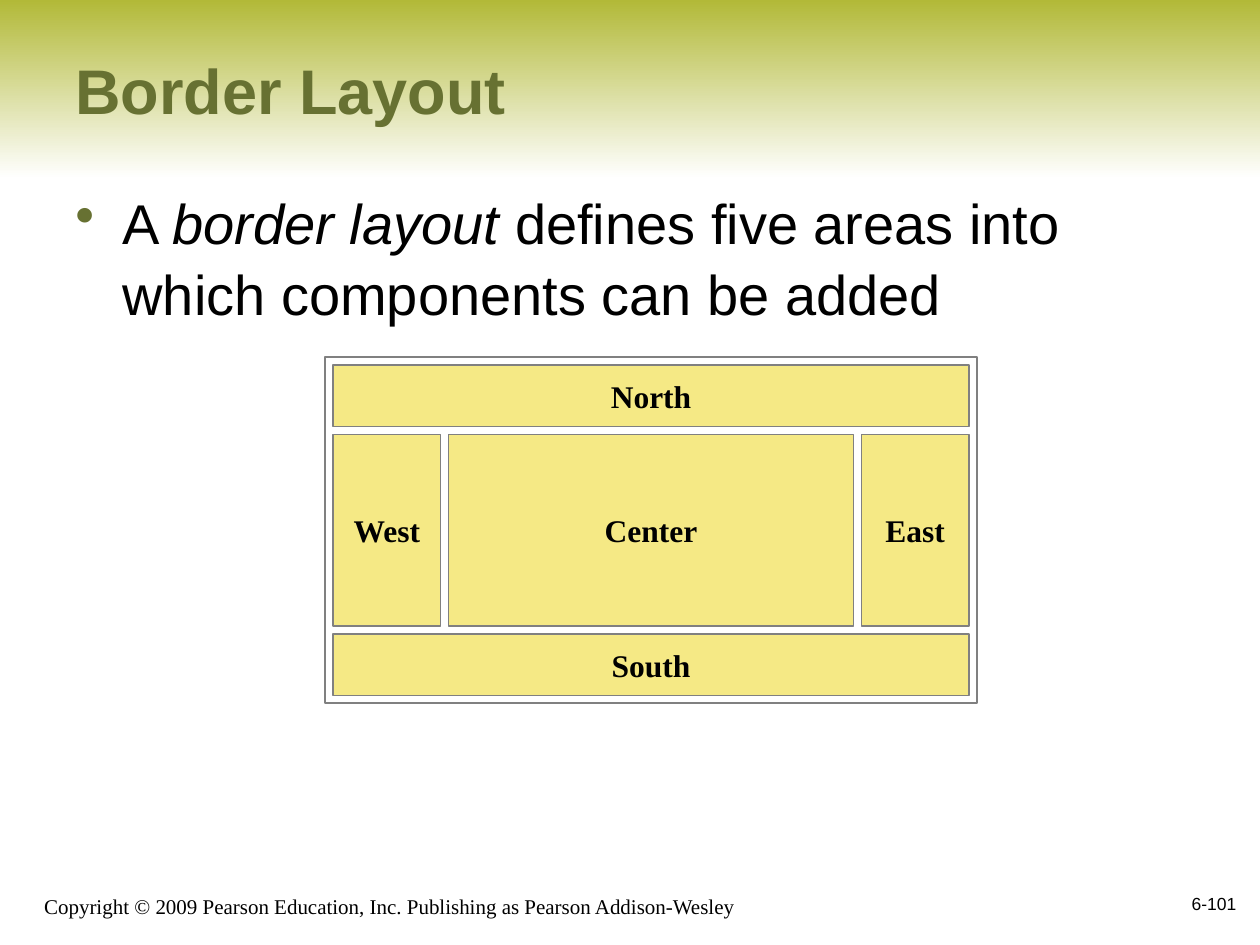
import pptx
import pptx.util
import pptx.dml.color
import pptx.enum.shapes
import pptx.enum.text
import lxml.etree

Cm = pptx.util.Cm
Pt = pptx.util.Pt
ALIGN = pptx.enum.text.PP_ALIGN
ANCHOR = pptx.enum.text.MSO_ANCHOR
OLIVE = "677132"
SERIF = "Times New Roman"


def tint(code):
    return pptx.dml.color.RGBColor.from_string(code)


def style(para, size, face="Arial", color="000000", bold=False, align=ALIGN.LEFT):
    para.alignment = align
    para.font.size = Pt(size)
    para.font.name = face
    para.font.bold = bold
    para.font.color.rgb = tint(color)


def add_rect(slide, box):
    shape = slide.shapes.add_shape(
        pptx.enum.shapes.MSO_SHAPE.RECTANGLE, *map(Cm, box))
    shape.shadow.inherit = False
    return shape


def add_text(slide, box, text, anchor, *args, **kwargs):
    frame = slide.shapes.add_textbox(*map(Cm, box)).text_frame
    frame.word_wrap = True
    frame.vertical_anchor = anchor
    para = frame.paragraphs[0]
    para.text = text
    style(para, *args, **kwargs)


def add_header(slide, box):
    left, top, width, height = box
    band = add_rect(slide, box)
    band.line.fill.background()
    band.fill.gradient()
    band.fill.gradient_angle = 270
    for stop, code in zip(band.fill.gradient_stops, ("B2B938", "FFFFFF")):
        stop.color.rgb = tint(code)
    add_text(slide, (left + 1.27, top + 0.21, width - 2.33, height - 0.43),
             "Border Layout", ANCHOR.MIDDLE, 36, color=OLIVE, bold=True)


def add_body(slide, box):
    frame = slide.shapes.add_textbox(*map(Cm, box)).text_frame
    frame.word_wrap = True
    para = frame.paragraphs[0]
    para.line_spacing = 1.06
    props = para._p.get_or_add_pPr()
    props.set("marL", str(Cm(0.95)))
    props.set("indent", str(Cm(-0.95)))
    space = pptx.oxml.ns.qn
    color = lxml.etree.SubElement(props, space("a:buClr"))
    lxml.etree.SubElement(color, space("a:srgbClr"), val=OLIVE)
    lxml.etree.SubElement(props, space("a:buChar"), char="•")
    for text, slant in (("A ", False), ("border layout", True),
                        (" defines five areas into which components can be added", False)):
        run = para.add_run()
        run.text = text
        run.font.italic = slant
    style(para, 32)


def add_panel(slide, box, fill, label=""):
    panel = add_rect(slide, box)
    panel.fill.solid()
    panel.fill.fore_color.rgb = tint(fill)
    panel.line.color.rgb = tint("808080")
    panel.line.width = Pt(1)
    if label:
        frame = panel.text_frame
        frame.word_wrap = False
        frame.vertical_anchor = ANCHOR.MIDDLE
        para = frame.paragraphs[0]
        para.text = label
        style(para, 18, SERIF, bold=True, align=ALIGN.CENTER)


def add_diagram(slide, box):
    """Frame the five areas, with one gap around and between them."""
    left, top, width, height = box
    gap, bar, side = 0.16, 1.24, 2.16
    inner = width - 2 * gap
    mid = inner - 2 * (side + gap)
    tall = height - 2 * bar - 4 * gap
    row = gap + bar + gap
    areas = {
        "North": (gap, gap, inner, bar),
        "South": (gap, height - gap - bar, inner, bar),
        "Center": (gap + side + gap, row, mid, tall),
        "East": (width - gap - side, row, side, tall),
        "West": (gap, row, side, tall),
    }
    add_panel(slide, box, "FFFFFF")
    for label, (x, y, wide, high) in areas.items():
        add_panel(slide, (left + x, top + y, wide, high), "F5E985", label)


def add_footer(slide, box):
    left, top, width, height = box
    add_text(slide, (left, top, 15.44, 1.07),
             "Copyright © 2009 Pearson Education, Inc. Publishing as Pearson Addison-Wesley",
             ANCHOR.BOTTOM, 12, SERIF)
    add_text(slide, (left + width - 5.28, top, 5.28, height), "6-101",
             ANCHOR.MIDDLE, 10, align=ALIGN.RIGHT)


def main():
    deck = pptx.Presentation()
    deck.slide_width = Cm(25.4)
    deck.slide_height = Cm(19.05)
    slide = deck.slides.add_slide(deck.slide_layouts[6])
    add_header(slide, (0, 0, 25.4, 3.6))
    add_footer(slide, (0.64, 17.57, 24.53, 1.27))
    add_body(slide, (1.27, 3.6, 23.07, 11.43))
    add_diagram(slide, (6.56, 7.2, 13.13, 6.98))
    deck.save("out.pptx")


if __name__ == "__main__":
    main()
